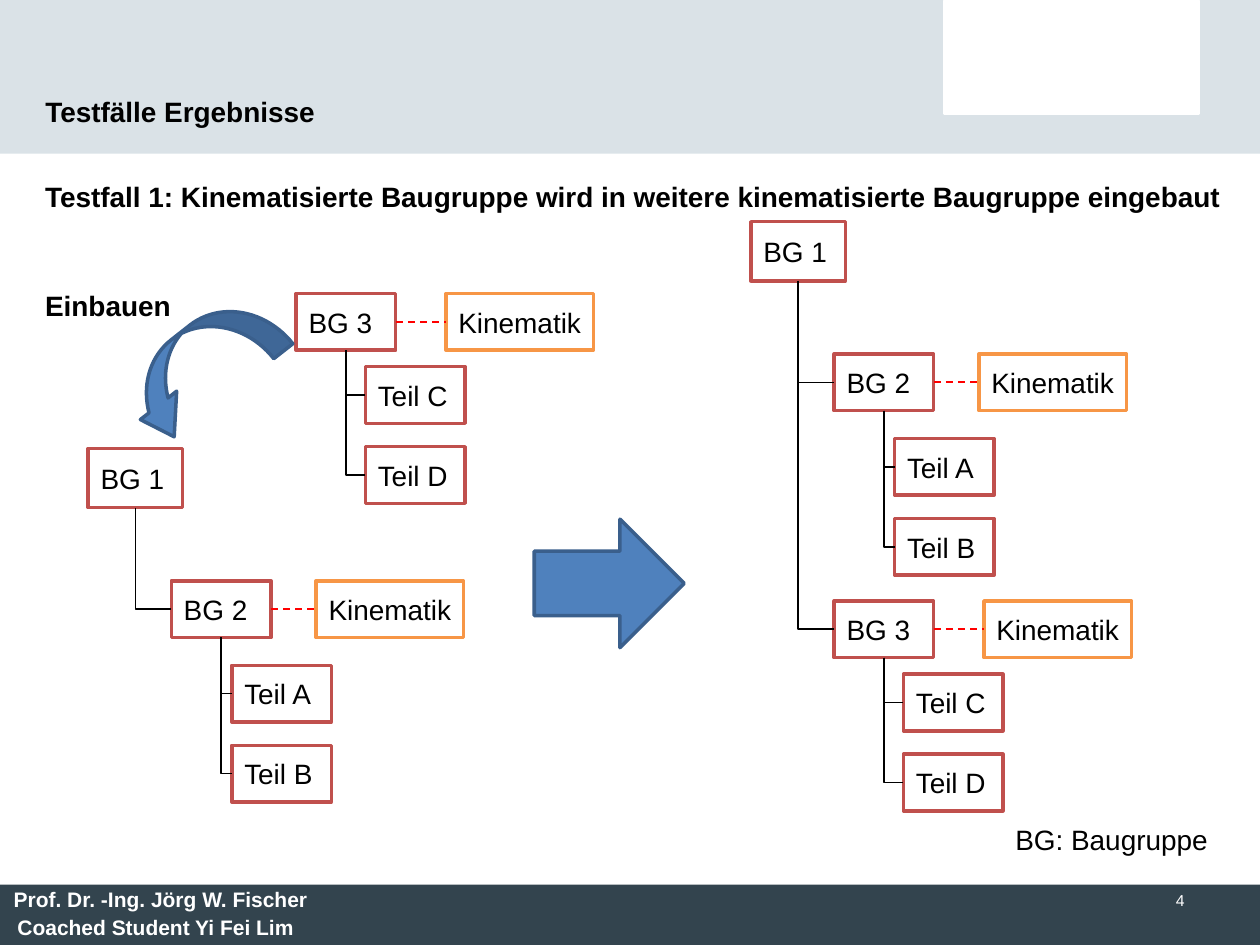
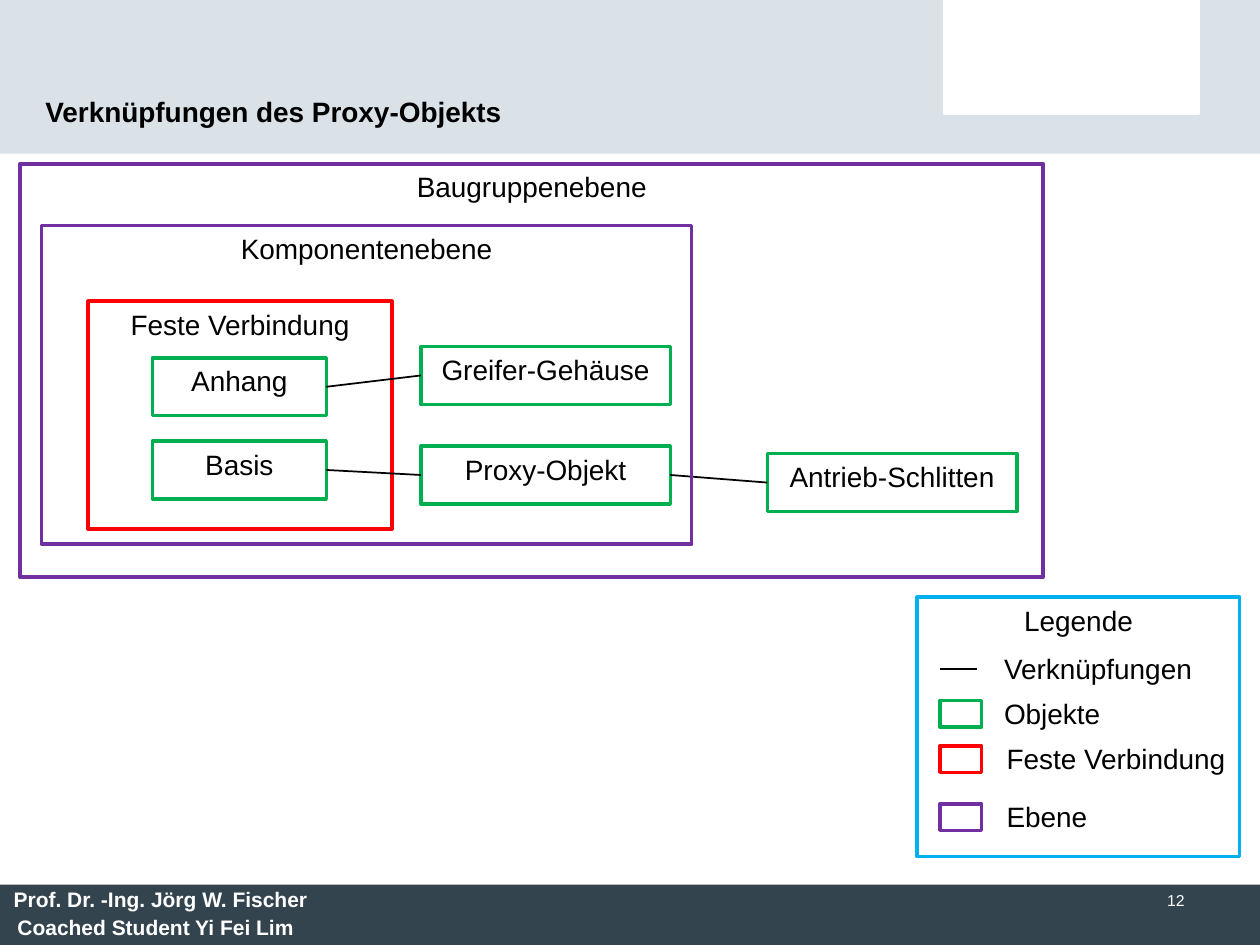
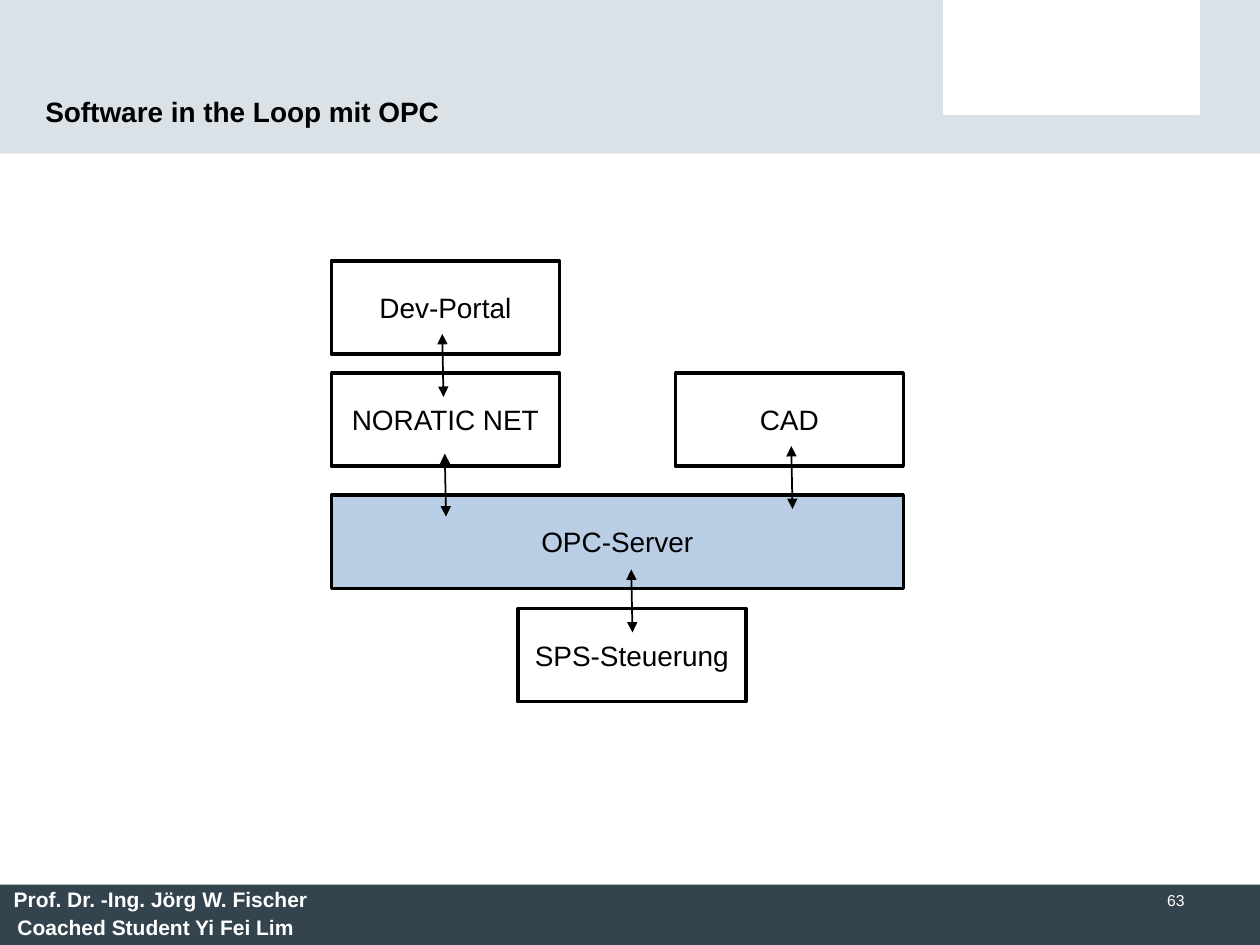
from lxml import etree
from pptx import Presentation
from pptx.dml.color import RGBColor
from pptx.enum.dml import MSO_LINE
from pptx.enum.shapes import MSO_CONNECTOR, MSO_SHAPE
from pptx.enum.text import MSO_ANCHOR, MSO_AUTO_SIZE, PP_ALIGN
from pptx.oxml.ns import qn
from pptx.util import Inches, Pt

RECT = MSO_SHAPE.RECTANGLE
ARROW = MSO_SHAPE.RIGHT_ARROW
CURVE = MSO_SHAPE.CURVED_UP_ARROW
STRAIGHT = MSO_CONNECTOR.STRAIGHT
ELBOW = MSO_CONNECTOR.ELBOW
DASH = MSO_LINE.DASH
TOP = MSO_ANCHOR.TOP
MIDDLE = MSO_ANCHOR.MIDDLE
BOTTOM = MSO_ANCHOR.BOTTOM
LEFT = PP_ALIGN.LEFT
CENTER = PP_ALIGN.CENTER
RIGHT = PP_ALIGN.RIGHT
FIXED = MSO_AUTO_SIZE.NONE

FONT = "Arial"
BLACK = "000000"
WHITE = "FFFFFF"
BAND = "DAE2E7"
FOOT = "33444E"
BRICK = "C0504D"
ORANGE = "F79646"
RED = "FF0000"
GREEN = "00B050"
PURPLE = "7030A0"
SKY = "00B0F0"
BLUE = "4F81BD"
NAVY = "3A5F8C"
PALE = "B9CDE5"


def rgb(value):
    """Turn a hex string into a colour."""
    return RGBColor.from_string(value)


def write(frame, words, size=16, color=BLACK, bold=False, align=LEFT,
          anchor=TOP, wrap=False):
    """Put one formatted paragraph into a text frame."""
    frame.auto_size = FIXED
    frame.word_wrap = wrap
    frame.vertical_anchor = anchor
    para = frame.paragraphs[0]
    para.alignment = align
    run = para.add_run()
    run.text = words
    run.font.name = FONT
    run.font.size = Pt(size)
    run.font.bold = bold
    run.font.color.rgb = rgb(color)


def label(slide, at, words, **style):
    """Add a text box."""
    area = slide.shapes.add_textbox(*map(Inches, at))
    write(area.text_frame, words, **style)
    return area


def box(slide, at, words="", fill=WHITE, edge=None, kind=RECT, **style):
    """Add a preset shape, with text if there is any."""
    shape = slide.shapes.add_shape(kind, *map(Inches, at))
    shape.shadow.inherit = False
    if fill:
        shape.fill.solid()
        shape.fill.fore_color.rgb = rgb(fill)
    else:
        shape.fill.background()
    if edge:
        shape.line.color.rgb = rgb(edge)
        shape.line.width = Pt(2)
    else:
        shape.line.fill.background()
    if words:
        write(shape.text_frame, words, **style)
    return shape


def stroke(slide, ends, kind=STRAIGHT, color=BLACK, dash=None, heads=False):
    """Add a thin connector between two points given in EMU."""
    line = slide.shapes.add_connector(kind, *map(int, ends))
    line.line.color.rgb = rgb(color)
    line.line.width = Pt(1)
    if dash:
        line.line.dash_style = dash
    props = line.element.spPr
    if heads:
        for end in ("a:headEnd", "a:tailEnd"):
            etree.SubElement(props.find(qn("a:ln")), qn(end), type="triangle")
    etree.SubElement(props, qn("a:effectLst"))
    return line


def link(slide, first, second, **style):
    """Join the right side of one shape to the left side of another."""
    stroke(slide, (first.left + first.width, first.top + first.height / 2,
                   second.left, second.top + second.height / 2), **style)


def branch(slide, parent, child):
    """Join the bottom of a parent to the left side of its child."""
    x = parent.left + parent.width / 2
    y = parent.top + parent.height
    wide = child.left - x
    high = child.top + child.height / 2 - y
    mid_x, mid_y = x + wide / 2, y + high / 2
    line = stroke(slide, (mid_x + high / 2, mid_y - wide / 2,
                          mid_x - high / 2, mid_y + wide / 2), kind=ELBOW)
    props = line.element.spPr
    props.find(qn("a:xfrm")).set("rot", str(270 * 60000))
    props.find(qn("a:prstGeom")).set("prst", "bentConnector2")


def node(slide, at, words, edge=BRICK):
    """Add one box of an assembly tree."""
    return box(slide, at, words, edge=edge, anchor=MIDDLE)


def group(slide, words, left, top, parts, gap, shift, drop):
    """Add an assembly with its parts and its kinematics."""
    head = node(slide, (left, top, 0.79, 0.45), words)
    for row, part in enumerate(parts):
        spot = (left + shift, top + drop + row * 0.635, 0.79, 0.45)
        branch(slide, head, node(slide, spot, part))
    motion = node(slide, (left + gap, top, 1.17, 0.45), "Kinematik", ORANGE)
    link(slide, head, motion, color=RED, dash=DASH)
    return head


def second(slide, left, top):
    """Add assembly BG 2."""
    return group(slide, "BG 2", left, top, ("Teil A", "Teil B"),
                 1.15, 0.48, 0.67)


def third(slide, left, top):
    """Add assembly BG 3."""
    return group(slide, "BG 3", left, top, ("Teil C", "Teil D"),
                 1.19, 0.55, 0.58)


def frame(deck, layout):
    """Put the bands and the credits on the layout."""
    slide = deck.slides[0]
    parts = [
        box(slide, (0, 0, 10, 1.22), fill=BAND),
        box(slide, (7.5, 0.01, 2.01, 0.89), edge=WHITE),
        box(slide, (0, 7.02, 10, 0.48), fill=FOOT),
        label(slide, (0.01, 6.99, 2.68, 0.3), "Prof. Dr. -Ing. Jörg W. Fischer",
              size=12, color=WHITE, bold=True),
        label(slide, (0.04, 7.21, 2.45, 0.3), "Coached Student Yi Fei Lim",
              size=12, color=WHITE, bold=True),
    ]
    for part in parts:
        layout.shapes.element.append(part.element)


def start(deck, layout, words, number):
    """Add a slide with its title and number."""
    slide = deck.slides.add_slide(layout)
    title = slide.shapes.title
    title.left, title.top = Inches(0.26), Inches(0.44)
    title.width, title.height = Inches(6.07), Inches(0.63)
    write(title.text_frame, words, bold=True, anchor=BOTTOM, wrap=True)
    label(slide, (7.17, 7.02, 2.33, 0.48), number, size=9, color=WHITE,
          align=RIGHT, wrap=True)
    return slide


def cases(slide):
    """Draw the assembly trees before and after."""
    label(slide, (0.26, 2.24, 1.21, 0.37), "Einbauen", bold=True)
    root = node(slide, (0.7, 3.56, 0.75, 0.47), "BG 1")
    branch(slide, root, second(slide, 1.36, 4.61))
    third(slide, 2.35, 2.33)

    curve = box(slide, (0.9, 2.6, 1.38, 0.62), fill=BLUE, edge=NAVY, kind=CURVE)
    curve.rotation = 141.9
    for index, value in enumerate((0.31, 0.59, 0.44)):
        curve.adjustments[index] = value
    box(slide, (4.24, 4.12, 1.19, 1.02), fill=BLUE, edge=NAVY, kind=ARROW)

    root = node(slide, (5.96, 1.76, 0.75, 0.47), "BG 1")
    branch(slide, root, second(slide, 6.62, 2.81))
    branch(slide, root, third(slide, 6.62, 4.77))
    label(slide, (7.96, 6.48, 1.75, 0.37), "BG: Baugruppe")
    label(slide, (0.26, 1.38, 9.66, 0.37),
          "Testfall 1: Kinematisierte Baugruppe wird in weitere "
          "kinematisierte Baugruppe eingebaut", bold=True)


def item(slide, left, top, wide, words):
    """Add one object of the proxy diagram."""
    return box(slide, (left, top, wide, 0.46), words, edge=GREEN, align=CENTER)


def legend(slide):
    """Draw the legend of the proxy diagram."""
    box(slide, (7.28, 4.74, 2.56, 2.06), "Legende", edge=SKY, align=CENTER)
    stroke(slide, map(Inches, (7.46, 5.31, 7.75, 5.31)))
    rows = (
        ("Verknüpfungen", 7.87, 5.12, 1.71, None),
        ("Objekte", 7.87, 5.48, 0.98, GREEN),
        ("Feste Verbindung", 7.89, 5.84, 1.96, RED),
        ("Ebene", 7.89, 6.3, 0.85, PURPLE),
    )
    for words, left, top, wide, edge in rows:
        label(slide, (left, top, wide, 0.37), words)
        if edge:
            box(slide, (7.46, top + 0.08, 0.33, 0.21), edge=edge)


def proxy(slide):
    """Draw the links of the proxy object."""
    box(slide, (0.7, 2.39, 2.41, 1.81), "Feste Verbindung", edge=RED,
        align=CENTER)
    base = item(slide, 1.21, 3.5, 1.38, "Basis")
    annex = item(slide, 1.21, 2.84, 1.38, "Anhang")
    case = item(slide, 3.34, 2.75, 1.98, "Greifer-Gehäuse")
    agent = item(slide, 3.34, 3.54, 1.98, "Proxy-Objekt")
    drive = item(slide, 6.09, 3.6, 1.98, "Antrieb-Schlitten")
    for first, last in ((annex, case), (base, agent), (agent, drive)):
        link(slide, first, last)
    legend(slide)
    for at, words in (((0.33, 1.79, 5.16, 2.53), "Komponentenebene"),
                      ((0.16, 1.3, 8.12, 3.28), "Baugruppenebene")):
        box(slide, at, words, fill=None, edge=PURPLE, align=CENTER)


def loop(slide):
    """Draw the software blocks around the server."""
    blocks = (
        ("SPS-Steuerung", 4.11, 4.83, 1.81, WHITE),
        ("CAD", 5.36, 2.96, 1.81, WHITE),
        ("OPC-Server", 2.63, 3.93, 4.54, PALE),
        ("Dev-Portal", 2.63, 2.07, 1.81, WHITE),
        ("NORATIC NET", 2.63, 2.96, 1.81, WHITE),
    )
    for words, left, top, wide, fill in blocks:
        box(slide, (left, top, wide, 0.74), words, fill=fill, edge=BLACK,
            align=CENTER, anchor=MIDDLE)
    for x, y in ((3.51, 2.65), (3.53, 3.6), (5.01, 4.52), (6.28, 3.54)):
        stroke(slide, map(Inches, (x, y, x + 0.01, y + 0.5)), heads=True)


def main():
    """Build and save the deck."""
    deck = Presentation()
    deck.slide_width, deck.slide_height = Inches(10), Inches(7.5)
    layout = deck.slide_layouts[5]
    pages = (
        ("Testfälle Ergebnisse", "4", cases),
        ("Verknüpfungen des Proxy-Objekts", "12", proxy),
        ("Software in the Loop mit OPC", "63", loop),
    )
    for title, number, draw in pages:
        draw(start(deck, layout, title, number))
    frame(deck, layout)
    deck.save("out.pptx")


if __name__ == "__main__":
    main()
